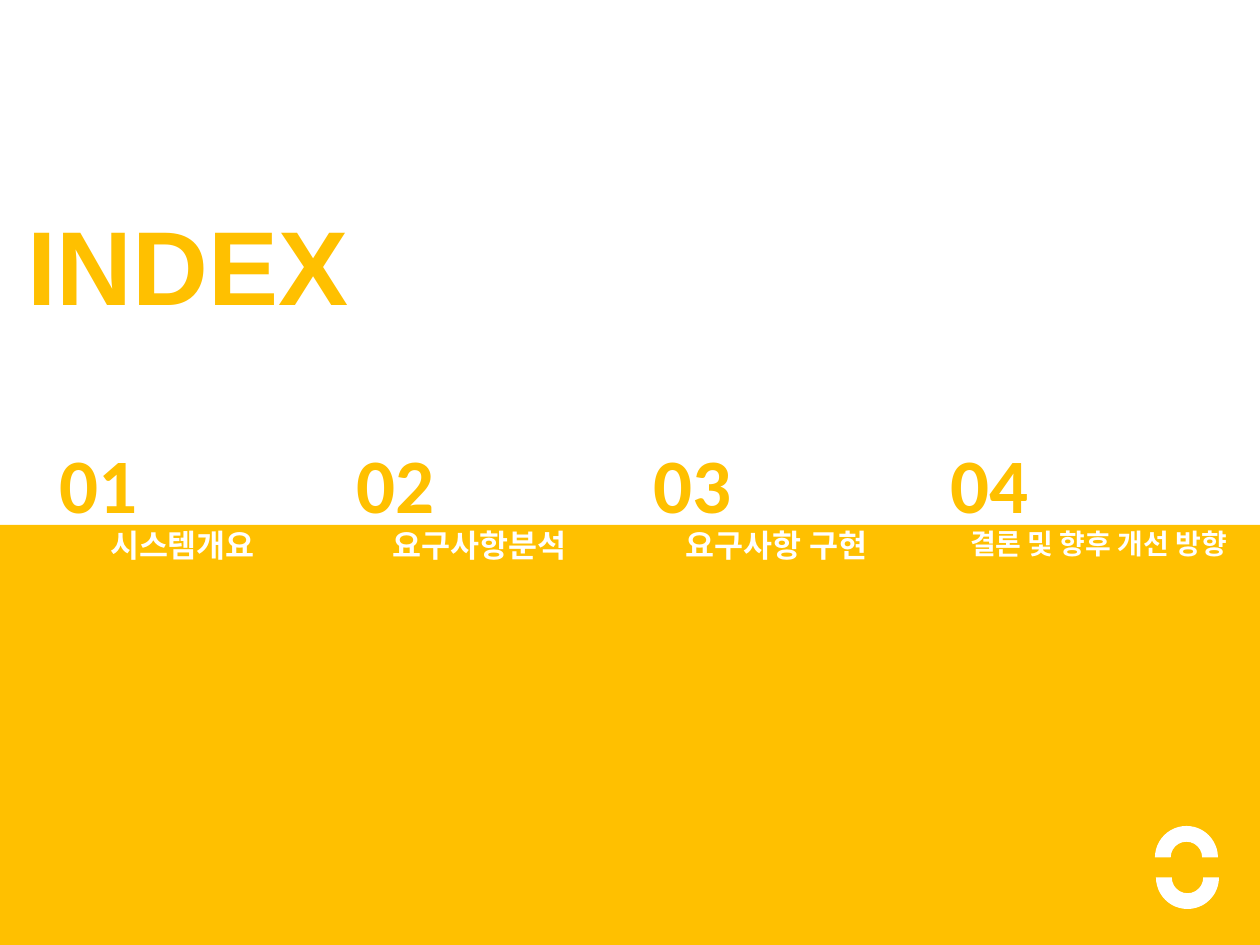
from pptx import Presentation
from pptx.dml.color import RGBColor
from pptx.enum.shapes import MSO_SHAPE
from pptx.enum.text import MSO_AUTO_SIZE, PP_ALIGN
from pptx.util import Emu, Pt

PX_PER_INCH = 126
AMBER = "FFC000"
WHITE = "FFFFFF"


def px(length):
    return Emu(round(length * 914400 / PX_PER_INCH))


def color(value):
    return RGBColor.from_string(value)


class SlideBuilder:
    heading_font = "Arial"
    number_font = "Calibri"

    def __init__(self, deck):
        self.slide = deck.slides.add_slide(deck.slide_layouts[6])

    def shape(self, kind, left, top, width, height, fill, rotation=0):
        shape = self.slide.shapes.add_shape(
            kind, px(left), px(top), px(width), px(height))
        shape.shadow.inherit = False
        shape.fill.solid()
        shape.fill.fore_color.rgb = color(fill)
        shape.line.fill.background()
        shape.rotation = rotation

    def text(self, content, left, top, width, height, size, font, ink,
             align=PP_ALIGN.LEFT):
        box = self.slide.shapes.add_textbox(
            px(left), px(top), px(width), px(height))
        box.text_frame.word_wrap = True
        box.text_frame.auto_size = MSO_AUTO_SIZE.SHAPE_TO_FIT_TEXT
        para = box.text_frame.paragraphs[0]
        para.alignment = align
        span = para.add_run()
        span.text = content
        span.font.size = Pt(size)
        span.font.name = font
        span.font.bold = True
        span.font.color.rgb = color(ink)


def main():
    deck = Presentation()
    deck.slide_width, deck.slide_height = px(1260), px(945)
    page = SlideBuilder(deck)

    # Lower colour band
    page.shape(MSO_SHAPE.RECTANGLE, 0, 525, 1260, 420, AMBER)

    # Chapters: label left, width, height and text size
    chapters = [
        ("시스템개요", 57, 251, 50, 18),
        ("요구사항분석", 354, 251, 50, 18),
        ("요구사항 구현", 651, 251, 50, 18),
        ("결론 및 향후 개선 방향", 937, 323, 47, 16),
    ]
    number_left, pitch = 47, 297
    for index, (label, left, width, height, size) in enumerate(chapters):
        page.text(label, left, 520, width, height, size,
                  page.heading_font, WHITE, PP_ALIGN.CENTER)
        page.text(f"{index + 1:02d}", number_left + index * pitch, 430,
                  183, 106, 44, page.number_font, AMBER)

    # Title
    page.text("INDEX", 15, 194, 674, 140, 60, page.heading_font, AMBER)

    # Corner ornament: two facing half rings
    page.shape(MSO_SHAPE.BLOCK_ARC, 1155, 826, 63, 63, WHITE)
    page.shape(MSO_SHAPE.BLOCK_ARC, 1156, 846, 63, 63, WHITE, rotation=180)

    deck.save("out.pptx")


if __name__ == "__main__":
    main()
